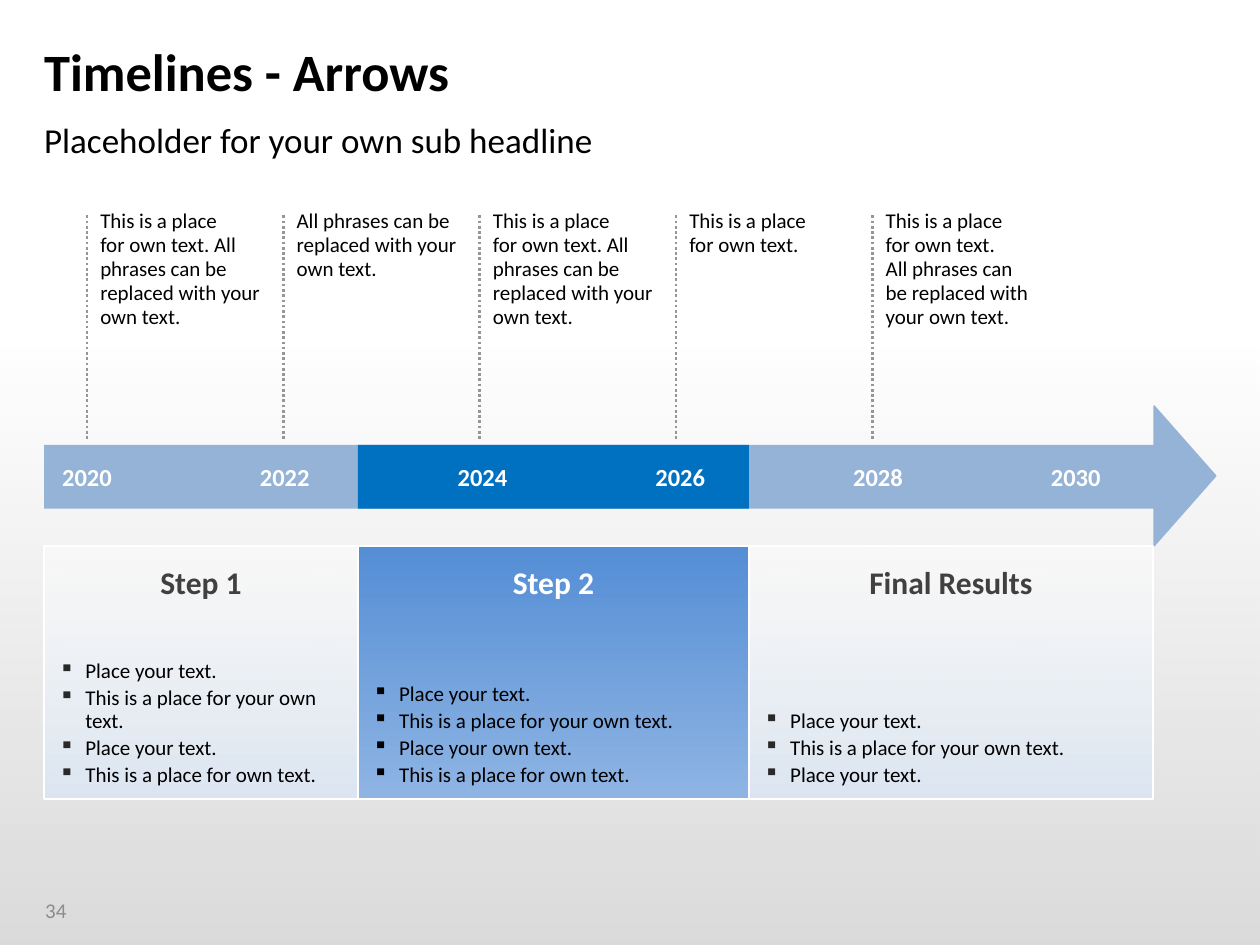
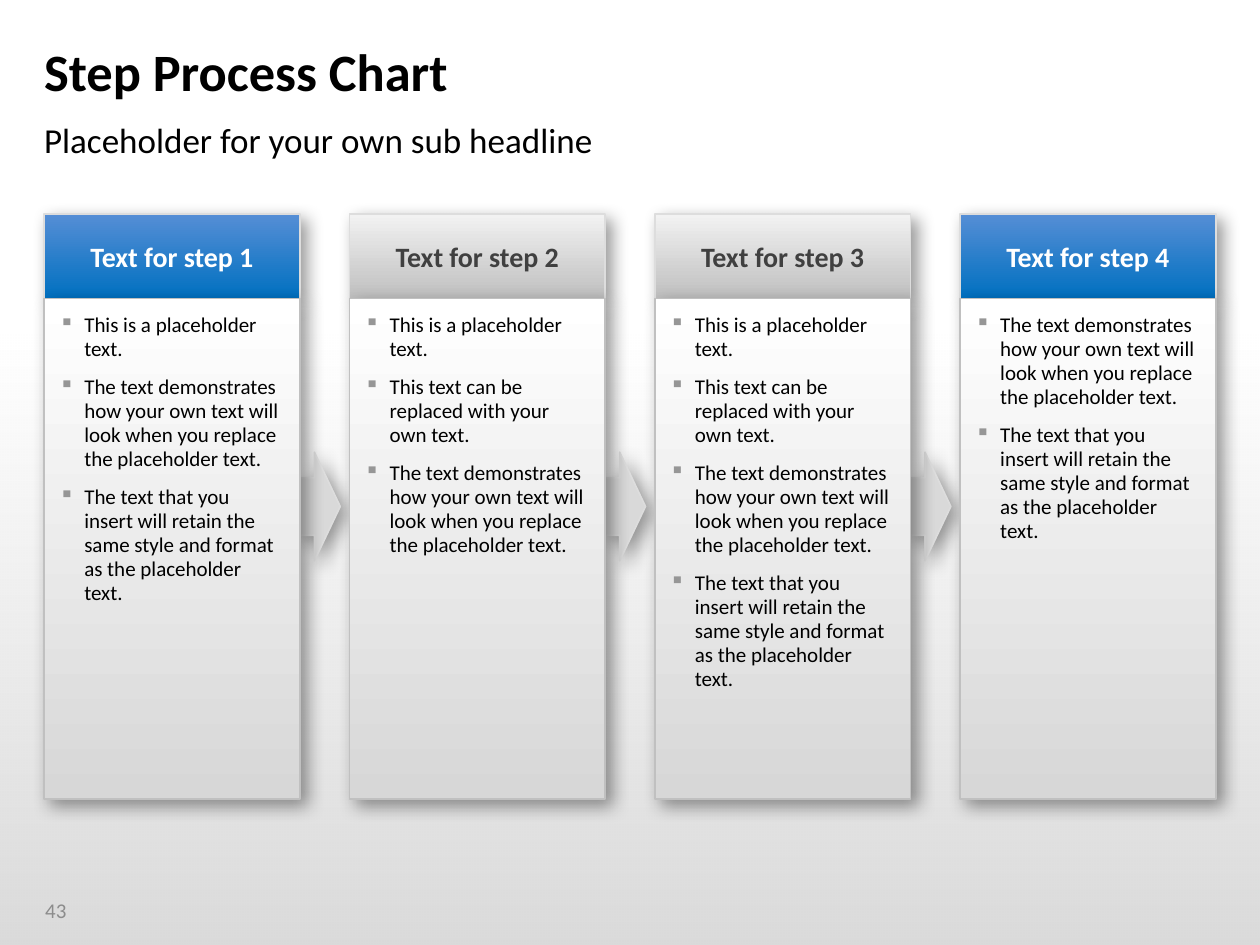
from dataclasses import dataclass
from typing import NamedTuple

from lxml.etree import SubElement
from pptx import Presentation
from pptx.dml.color import RGBColor
from pptx.enum.dml import MSO_LINE
from pptx.enum.shapes import MSO_CONNECTOR, MSO_SHAPE
from pptx.enum.text import MSO_ANCHOR, PP_ALIGN
from pptx.oxml.ns import qn
from pptx.util import Pt


class Box(NamedTuple):
    left: float
    top: float
    width: float
    height: float

    def inner(self, left, top, width, height):
        """A box placed relative to this one."""
        return Box(self.left + left, self.top + top, width, height)


@dataclass(frozen=True)
class Theme:
    font: str = "Calibri"
    black: str = "000000"
    white: str = "FFFFFF"
    dark_gray: str = "404040"
    page_gray: str = "8C8C8C"
    dot_gray: str = "969696"
    arrow_gray: str = "D9D9D9"
    header_line: str = "DDDDDD"
    body_line: str = "C0C0C0"
    strong_blue: str = "0070C0"
    soft_blue: str = "95B3D7"
    bullet_dark: str = "292929"
    # Gradients run from top to bottom
    pale_panel: tuple = ("FFFFFF", "DCE6F2")
    blue_panel: tuple = ("558ED5", "8EB4E3")
    blue_header: tuple = ("558ED5", "0070C0")
    gray_header: tuple = ("F2F2F2", "BFBFBF")
    gray_body: tuple = ("FFFFFF", "D7D7D7")
    title: int = 30
    subtitle: int = 20
    step_title: int = 18
    header: int = 16
    year: int = 14
    text: int = 12


THEME = Theme()
CONTENT = Box(25.2, 122.4, 669.6, 334.2)
PANEL_INSETS = (8.6, 8.6, 11.5, 7)


# ---- Shared drawing helpers ----

def rgb(color):
    return RGBColor.from_string(color)


def place(box):
    return [Pt(value) for value in box]


def add_shape(page, kind, box, fill, line=None, line_width=1, alphas=None):
    """Add a shape with a plain colour or a (top, bottom) gradient."""
    shape = page.shapes.add_shape(kind, *place(box))
    shape.shadow.inherit = False
    if isinstance(fill, tuple):
        shape.fill.gradient()
        shape.fill.gradient_angle = 270
        for stop, color, position in zip(shape.fill.gradient_stops, fill, (0, 1)):
            stop.color.rgb = rgb(color)
            stop.position = position
        if alphas:
            colors = shape._element.spPr.iter(qn("a:srgbClr"))
            for color, alpha in zip(list(colors), alphas):
                SubElement(color, qn("a:alpha"), val=str(alpha * 1000))
    else:
        shape.fill.solid()
        shape.fill.fore_color.rgb = rgb(fill)
    if line:
        shape.line.color.rgb = rgb(line)
        shape.line.width = Pt(line_width)
    else:
        shape.line.fill.background()
    return shape


def add_drop_shadow(shape):
    effects = shape._element.spPr.find(qn("a:effectLst"))
    shadow = SubElement(effects, qn("a:outerShdw"), blurRad=str(Pt(10)),
                        dist=str(Pt(5)), dir="2700000", algn="tl", rotWithShape="0")
    color = SubElement(shadow, qn("a:srgbClr"), val=THEME.black)
    SubElement(color, qn("a:alpha"), val="40000")


def add_bullet(para, color, indent):
    properties = para._p.get_or_add_pPr()
    properties.set("marL", str(Pt(indent)))
    properties.set("indent", str(-Pt(indent)))
    bullet_color = SubElement(properties, qn("a:buClr"))
    SubElement(bullet_color, qn("a:srgbClr"), val=color)
    SubElement(properties, qn("a:buChar"), char="▪")


def add_right_tabs(para, stops):
    tabs = SubElement(para._p.get_or_add_pPr(), qn("a:tabLst"))
    for stop in stops:
        SubElement(tabs, qn("a:tab"), pos=str(Pt(stop)), algn="r")


def write(shape, lines, size, color=THEME.black, bold=False, align=PP_ALIGN.LEFT,
          anchor=MSO_ANCHOR.TOP, insets=(0, 0, 0, 0), spacing=1.0, after=0,
          bullet=None, indent=15, tabs=()):
    """Write one paragraph per line into a shape or text box."""
    frame = shape.text_frame
    frame.word_wrap = True
    frame.vertical_anchor = anchor
    (frame.margin_left, frame.margin_top,
     frame.margin_right, frame.margin_bottom) = place(insets)
    for number, line in enumerate(lines):
        para = frame.add_paragraph() if number else frame.paragraphs[0]
        para.text = line
        if bullet:
            add_bullet(para, bullet, indent)
        if tabs:
            add_right_tabs(para, tabs)
        para.alignment = align
        para.line_spacing = spacing
        para.space_after = Pt(after)
        para.font.name = THEME.font
        para.font.size = Pt(size)
        para.font.bold = bold
        para.font.color.rgb = rgb(color)


def add_text(page, box, lines, size, **style):
    write(page.shapes.add_textbox(*place(box)), lines, size, **style)


def add_page(deck, title, number):
    """Start a slide with the shared background, headings and page number."""
    page = deck.slides.add_slide(deck.slide_layouts[6])
    page.background.fill.solid()
    page.background.fill.fore_color.rgb = rgb(THEME.white)
    add_shape(page, MSO_SHAPE.RECTANGLE, Box(0, 186.5, 720, 353.5),
              (THEME.black, THEME.black), alphas=(0, 15))
    add_text(page, Box(18.7, 505.4, 46, 29), [number], THEME.text,
             color=THEME.page_gray, anchor=MSO_ANCHOR.MIDDLE,
             insets=(7.2, 3.6, 7.2, 3.6))
    add_text(page, Box(25.2, 18.7, 669, 48.3), [title], THEME.title, bold=True,
             anchor=MSO_ANCHOR.MIDDLE, insets=(0, 3.6, 7.2, 3.6), spacing=0.9)
    add_text(page, Box(25.2, 67.7, 669, 26.6),
             ["Placeholder for your own sub headline"], THEME.subtitle)
    return page


# ---- Timeline slide ----

def draw_arrow(page, box, highlight_left, highlight_width):
    """Draw the time arrow, its highlighted period and its years."""
    add_shape(page, MSO_SHAPE.RECTANGLE, box.inner(0, 0, 642, box.height),
              THEME.soft_blue)
    # The head is a triangle turned about its centre
    base, length = 80, 35.3
    center_left = box.width - length / 2
    head = add_shape(page, MSO_SHAPE.FLOWCHART_EXTRACT,
                     box.inner(center_left - base / 2, (box.height - length) / 2 - 0.5,
                               base, length),
                     THEME.soft_blue, THEME.soft_blue, 0.75)
    head.rotation = 90
    add_shape(page, MSO_SHAPE.RECTANGLE,
              box.inner(highlight_left, 0, highlight_width, box.height),
              THEME.strong_blue)
    years = range(2020, 2031, 2)
    add_text(page, box.inner(2.9, 2, 620, 33),
             ["".join(f"\t{year}" for year in years)], THEME.year,
             color=THEME.white, bold=True, anchor=MSO_ANCHOR.MIDDLE,
             insets=(7.2, 3.6, 0, 3.6),
             tabs=[28.8 + 113 * index for index in range(len(years))])


def draw_step_panel(page, box, title, items, active):
    fill = THEME.blue_panel if active else THEME.pale_panel
    panel = add_shape(page, MSO_SHAPE.RECTANGLE, box, fill, THEME.white,
                      alphas=None if active else (50, 100))
    write(panel, items, THEME.text, anchor=MSO_ANCHOR.BOTTOM, insets=PANEL_INSETS,
          spacing=0.9, after=2.4, indent=15,
          bullet=THEME.black if active else THEME.bullet_dark)
    add_text(page, box.inner(0, 6.5, box.width, 28), [title], THEME.step_title,
             color=THEME.white if active else THEME.dark_gray, bold=True,
             align=PP_ALIGN.CENTER, anchor=MSO_ANCHOR.MIDDLE)


def draw_milestone(page, box, note):
    """Draw a dotted line down the left side with a note beside it."""
    line = page.shapes.add_connector(
        MSO_CONNECTOR.STRAIGHT, Pt(box.left), Pt(box.top),
        Pt(box.left), Pt(box.top + box.height))
    line.line.color.rgb = rgb(THEME.dot_gray)
    line.line.width = Pt(1.5)
    line.line.dash_style = MSO_LINE.ROUND_DOT
    SubElement(line._element.spPr, qn("a:effectLst"))
    add_text(page, box.inner(0.5, -8.2, box.width, 116.6), [note], THEME.text,
             insets=(7.2, 5, 7.2, 3.6), spacing=0.95, after=8)


def build_timeline(deck, box):
    page = add_page(deck, "Timelines - Arrows", "34")
    place_text, own_text = "Place your text.", "This is a place for your own text."
    short_text = "This is a place for own text."
    steps = [
        ("Step 1", 179.3, [place_text, own_text, place_text, short_text]),
        ("Step 2", 223.5, [place_text, own_text, "Place your own text.", short_text]),
        ("Final Results", 230.8, [place_text, own_text, place_text]),
    ]
    draw_arrow(page, box.inner(0, 131.8, box.width, 36.5), steps[0][1], steps[1][1])

    left = 0
    for title, width, items in steps:
        draw_step_panel(page, box.inner(left, 189.4, width, 144.7), title, items,
                        active=title == "Step 2")
        left += width

    long_note = ("This is a place\nfor own text. All phrases can be "
                 "replaced with your own text.")
    notes = [
        long_note,
        "All phrases can be replaced with your own text.",
        long_note,
        "This is a place\nfor own text.",
        "This is a place\nfor own text.\nAll phrases can\n"
        "be replaced with your own text.",
    ]
    for index, note in enumerate(notes):
        draw_milestone(page, box.inner(24.5 + 112.2 * index, 0.7, 109.4, 128.2), note)


# ---- Step process slide ----

def draw_step_column(page, box, title, items, active):
    header_height = 48.2
    header = add_shape(page, MSO_SHAPE.RECTANGLE,
                       box.inner(0, 0, box.width, header_height),
                       THEME.blue_header if active else THEME.gray_header,
                       THEME.header_line)
    write(header, [title], THEME.header, bold=True, align=PP_ALIGN.CENTER,
          color=THEME.white if active else THEME.dark_gray,
          anchor=MSO_ANCHOR.MIDDLE)
    body = add_shape(page, MSO_SHAPE.RECTANGLE,
                     box.inner(0, header_height, box.width, box.height - header_height),
                     THEME.gray_body, THEME.body_line)
    write(body, items, THEME.text, insets=PANEL_INSETS, spacing=0.95, after=8,
          bullet=THEME.dot_gray, indent=14.4)
    for shape in (header, body):
        add_drop_shadow(shape)


def draw_step_arrow(page, box):
    arrow = add_shape(page, MSO_SHAPE.RIGHT_ARROW, box, THEME.arrow_gray,
                      THEME.header_line)
    arrow.adjustments[0], arrow.adjustments[1] = 0.53, 0.64
    add_drop_shadow(arrow)


def build_step_process(deck, box):
    page = add_page(deck, "Step Process Chart", "43")
    placeholder = "This is a placeholder text."
    replace = "This text can be replaced with your own text."
    demonstrate = ("The text demonstrates how your own text will look "
                   "when you replace the placeholder text.")
    retain = ("The text that you insert will retain the same style "
              "and format as the placeholder text.")
    columns = [
        [placeholder, demonstrate, retain],
        [placeholder, replace, demonstrate],
        [placeholder, replace, demonstrate, retain],
        [demonstrate, retain],
    ]
    width = 146.2
    pitch = (box.width - width) / (len(columns) - 1)
    # Arrows lie behind the columns
    for index in range(len(columns) - 1):
        draw_step_arrow(page, box.inner(pitch * index + width, 136, 23, 62))
    for index, items in enumerate(columns):
        draw_step_column(page, box.inner(pitch * index, 0, width, box.height),
                         f"Text for step {index + 1}", items,
                         active=index in (0, len(columns) - 1))


def main():
    deck = Presentation()
    deck.slide_width, deck.slide_height = Pt(720), Pt(540)
    build_timeline(deck, CONTENT)
    build_step_process(deck, CONTENT)
    deck.save("out.pptx")


if __name__ == "__main__":
    main()
